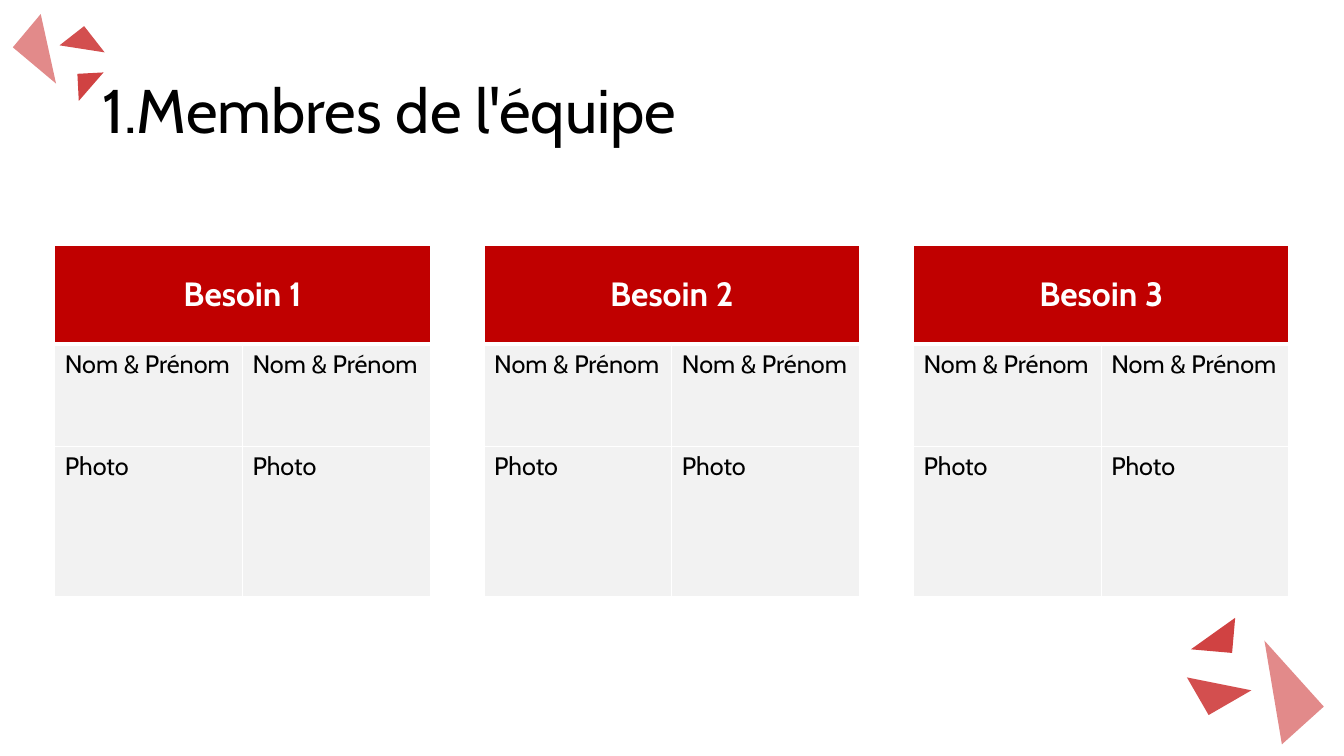
from dataclasses import dataclass

from lxml import etree
from pptx import Presentation
from pptx.dml.color import RGBColor
from pptx.enum.shapes import MSO_SHAPE
from pptx.enum.text import MSO_ANCHOR, PP_ALIGN
from pptx.oxml.ns import qn
from pptx.slide import Slide
from pptx.util import Pt

RED, GREY, BLACK, WHITE = "C00000", "F2F2F2", "000000", "FFFFFF"


def color(hex_code):
    return RGBColor.from_string(hex_code)


@dataclass
class SlideBuilder:
    slide: Slide
    font_name: str = "Cabin"

    def style(self, paragraph, size, hex_code, bold=False):
        font = paragraph.font
        font.name, font.size, font.bold = self.font_name, Pt(size), bold
        font.color.rgb = color(hex_code)

    def title(self, text, left, top, width, height):
        title = self.slide.shapes.title
        title.left, title.top = Pt(left), Pt(top)
        title.width, title.height = Pt(width), Pt(height)
        frame = title.text_frame
        frame.text = text
        frame.vertical_anchor = MSO_ANCHOR.MIDDLE
        paragraph = frame.paragraphs[0]
        paragraph.alignment = PP_ALIGN.LEFT
        paragraph.line_spacing = 0.9
        self.style(paragraph, 44, BLACK)

    def triangles(self, items):
        """Group translucent triangles given as (left, top, width, height, rotation, opacity %)."""
        group = self.slide.shapes.add_group_shape()
        for *box, rotation, opacity in items:
            triangle = group.shapes.add_shape(MSO_SHAPE.RIGHT_TRIANGLE, *map(Pt, box))
            triangle.rotation = rotation
            triangle.shadow.inherit = False
            triangle.line.fill.background()
            triangle.fill.solid()
            triangle.fill.fore_color.rgb = color(RED)
            rgb = triangle.fill._xPr.find(".//" + qn("a:srgbClr"))
            etree.SubElement(rgb, qn("a:alpha"), val=str(opacity * 1000))

    def cell(self, cell, text, size, fill, text_color, bold=False, bottom=1):
        cell.text = text
        self.style(cell.text_frame.paragraphs[0], size, text_color, bold)
        cell.fill.solid()
        cell.fill.fore_color.rgb = color(fill)
        properties = cell._tc.get_or_add_tcPr()
        borders = {"a:lnL": 1, "a:lnR": 1, "a:lnT": 1, "a:lnB": bottom}
        for index, (tag, width) in enumerate(borders.items()):
            line = etree.Element(qn(tag), w=str(Pt(width)))
            line_fill = etree.SubElement(line, qn("a:solidFill"))
            etree.SubElement(line_fill, qn("a:srgbClr"), val=WHITE)
            properties.insert(index, line)

    def team_table(self, heading, labels, left, top, column_width, row_heights):
        """Add a two-member table: a merged heading, then one row per label."""
        table = self.slide.shapes.add_table(
            len(row_heights), 2, Pt(left), Pt(top),
            Pt(2 * column_width), Pt(sum(row_heights))).table
        for column in table.columns:
            column.width = Pt(column_width)
        for row, height in zip(table.rows, row_heights):
            row.height = Pt(height)
        header = table.cell(0, 0)
        header.merge(table.cell(0, 1))
        for cell, text in zip(table.rows[0].cells, (heading, "")):
            self.cell(cell, text, 24, RED, WHITE, bold=True, bottom=3)
        header.vertical_anchor = MSO_ANCHOR.MIDDLE
        header.text_frame.paragraphs[0].alignment = PP_ALIGN.CENTER
        for row_index, label in enumerate(labels, 1):
            for cell in table.rows[row_index].cells:
                self.cell(cell, label, 18, GREY, BLACK)


def main():
    presentation = Presentation()
    presentation.slide_width, presentation.slide_height = Pt(960), Pt(540)
    builder = SlideBuilder(presentation.slides.add_slide(presentation.slide_layouts[5]))
    builder.title("1.Membres de l'équipe", 66, 28.8, 828, 104.4)
    builder.triangles([
        (14.4, 19.4, 40.3, 31, 40, 46),
        (47.5, 23, 22.3, 23.8, 142, 69),
        (55.4, 52.6, 19.4, 18.7, 87, 74),
    ])
    builder.triangles([
        (877.7, 474.5, 63.4, 40.3, 228, 46),
        (853.2, 473, 35.3, 31, 330, 69),
        (853.9, 437.8, 25.2, 29.5, 275, 74),
    ])
    for index in range(3):
        builder.team_table(f"Besoin {index + 1}", ("Nom & Prénom", "Photo"),
                           39.1 + 306.7 * index, 175, 134.1, (70.6, 73.4, 107.3))
    presentation.save("out.pptx")


if __name__ == "__main__":
    main()
